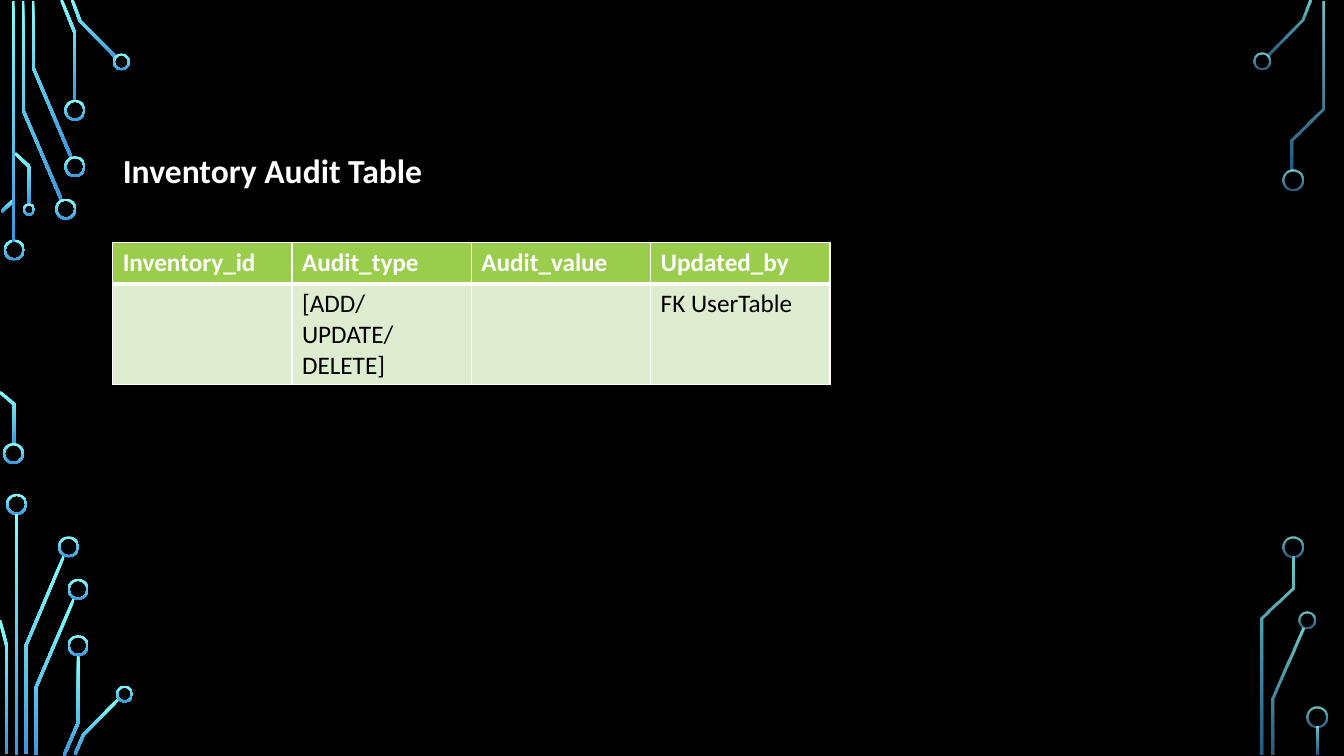
import math

import pptx
import pptx.dml.color
import pptx.enum.shapes
import pptx.enum.text
import pptx.oxml
import pptx.oxml.ns
import pptx.util
from pptx.util import Cm

COLORS = {
    "background": "000000", "glow_top": "82FFFF", "glow_bottom": "3D97DE",
    "header": "9ACD4C", "body": "DEEDD0", "light": "FFFFFF", "dark": "000000",
}
OPAQUE, FADED = (100, 100), (80, 60)
TRACE_WIDTH, RING_WIDTH = 0.07, 0.05
LARGE, SMALL, TINY = 0.53, 0.43, 0.31

# Circuit decoration, in centimetres: trace centre lines, rings by diameter,
# and upright stems as (left, top, height)
LEFT_CIRCUIT = {
    "traces": [
        [(1.55, 5.04), (0.58, 2.77), (0.58, 0.03)],
        [(1.8, 3.98), (0.83, 1.69), (0.83, 0.03)],
        [(1.89, 2.54), (1.89, 0.84), (1.55, 0)],
        [(2.93, 1.45), (2.02, 0.53), (1.82, 0)],
        [(0.04, 5.33), (0.36, 5.03)],
        [(0.36, 11.2), (0.36, 10.19), (0, 9.88)],
        [(0.74, 5.16), (0.74, 4.2), (0.38, 3.86)],
        [(0.65, 19), (0.65, 16.28), (1.61, 14.01)],
        [(0.17, 19), (0.17, 16.28), (0, 15.63)],
        [(0.9, 19.02), (0.9, 17.34), (1.87, 15.07)],
        [(1.61, 19.04), (1.97, 18.21), (1.97, 16.51)],
        [(1.89, 19.01), (2.1, 18.52), (3, 17.6)],
    ],
    "rings": {
        LARGE: [(0.36, 6.3), (0.34, 11.43), (1.66, 5.27), (1.89, 4.2), (1.89, 2.78),
                (0.42, 12.71), (1.73, 13.78), (1.97, 14.85), (1.97, 16.27)],
        SMALL: [(3.06, 1.56), (3.14, 17.49)],
        TINY: [(0.73, 5.28)],
    },
    "stems": [(0.3, 0.03, 6.07), (0.38, 12.95, 6.07)],
}
RIGHT_CIRCUIT = {
    "traces": [
        [(31.93, 1.41), (32.83, 0.51), (33.03, 0.01)],
        [(32.07, 19.02), (32.07, 17.61), (32.84, 15.84)],
        [(32.56, 4.29), (32.56, 3.52), (33.34, 2.73), (33.34, 0.03)],
        [(31.81, 19.02), (31.81, 15.58), (32.6, 14.82), (32.6, 14.02)],
    ],
    "rings": {
        LARGE: [(32.58, 4.53), (32.59, 13.78), (33.18, 18.08)],
        SMALL: [(31.8, 1.54), (32.93, 15.63)],
    },
    "stems": [(33.17, 18.31, 0.71)],
}

AUDIT_ROWS = [
    ["Inventory_id", "Audit_type", "Audit_value", "Updated_by"],
    ["", "[ADD/UPDATE/DELETE]", "", "FK UserTable"],
]


def color(name):
    return pptx.dml.color.RGBColor.from_string(COLORS[name])


def set_attributes(target, values):
    for attribute, value in values.items():
        setattr(target, attribute, value)


def format_text(paragraph, text, size, color_name, bold):
    paragraph.alignment = pptx.enum.text.PP_ALIGN.LEFT
    run = paragraph.add_run()
    run.text = text
    set_attributes(run.font, {"name": "Calibri", "size": pptx.util.Pt(size), "bold": bold})
    run.font.color.rgb = color(color_name)


def apply_glow(shape, opacity):
    shape.shadow.inherit = False
    shape.line.fill.background()
    shape.fill.gradient()
    shape.fill.gradient_angle = 270
    for stop, name, position, percent in zip(
            shape.fill.gradient_stops, ("glow_top", "glow_bottom"), (0, 1), opacity):
        stop.color.rgb = color(name)
        stop.position = position
        if percent < 100:
            tint = stop._gs.find(pptx.oxml.ns.qn("a:srgbClr"))
            alpha = pptx.oxml.parse_xml(
                f'<a:alpha {pptx.oxml.ns.nsdecls("a")} val="{percent * 1000}"/>')
            tint.append(alpha)


def trace_outline(points):
    """Widen a centre line into a closed band with mitred corners."""
    normals = []
    for (x1, y1), (x2, y2) in zip(points, points[1:]):
        length = math.hypot(x2 - x1, y2 - y1)
        normals.append(((y1 - y2) / length, (x2 - x1) / length))
    one_side, other_side = [], []
    for (x, y), (ax, ay), (bx, by) in zip(
            points, normals[:1] + normals, normals + normals[-1:]):
        reach = TRACE_WIDTH / 2 / (1 + ax * bx + ay * by)
        dx, dy = (ax + bx) * reach, (ay + by) * reach
        one_side.append((Cm(x + dx), Cm(y + dy)))
        other_side.append((Cm(x - dx), Cm(y - dy)))
    return one_side + other_side[::-1]


def add_circuit(slide, circuit, opacity):
    preset = pptx.enum.shapes.MSO_SHAPE
    for points in circuit["traces"]:
        start, *others = trace_outline(points)
        builder = slide.shapes.build_freeform(*start)
        builder.add_line_segments(others, close=True)
        apply_glow(builder.convert_to_shape(), opacity)
    for diameter, centres in circuit["rings"].items():
        for x, y in centres:
            ring = slide.shapes.add_shape(
                preset.DONUT, Cm(x - diameter / 2), Cm(y - diameter / 2),
                Cm(diameter), Cm(diameter))
            ring.adjustments[0] = RING_WIDTH / diameter
            apply_glow(ring, opacity)
    for left, top, height in circuit["stems"]:
        stem = slide.shapes.add_shape(
            preset.RECTANGLE, Cm(left), Cm(top), Cm(TRACE_WIDTH), Cm(height))
        apply_glow(stem, opacity)


def add_heading(slide):
    heading = slide.shapes.title
    set_attributes(heading, {"left": Cm(2.84), "top": Cm(3.66),
                             "width": Cm(14.07), "height": Cm(1.28)})
    set_attributes(heading.text_frame, {
        "word_wrap": True,
        "auto_size": pptx.enum.text.MSO_AUTO_SIZE.SHAPE_TO_FIT_TEXT,
        "vertical_anchor": pptx.enum.text.MSO_ANCHOR.TOP})
    format_text(heading.text_frame.paragraphs[0], "Inventory Audit Table", 24, "light", True)


def set_borders(cell, widths):
    properties = cell._tc.get_or_add_tcPr()
    for side, points in widths.items():
        properties.append(pptx.oxml.parse_xml(
            f'<a:ln{side} {pptx.oxml.ns.nsdecls("a")} w="{pptx.util.Pt(points)}">'
            f'<a:solidFill><a:srgbClr val="{COLORS["light"]}"/></a:solidFill></a:ln{side}>'))


def add_audit_table(slide):
    row_count, column_count = len(AUDIT_ROWS), len(AUDIT_ROWS[0])
    column_width, row_height = 4.52, 1.03
    audit = slide.shapes.add_table(
        row_count, column_count, Cm(2.84), Cm(6.12),
        Cm(column_width * column_count), Cm(row_height * row_count)).table
    audit.horz_banding = False
    for row, texts in enumerate(AUDIT_ROWS):
        is_header = row == 0
        for column, text in enumerate(texts):
            cell = audit.cell(row, column)
            # The line under the header is the heavy one
            set_borders(cell, {"L": 1, "R": 1, "T": 1 if is_header else 3,
                               "B": 3 if is_header else 1})
            cell.fill.solid()
            cell.fill.fore_color.rgb = color("header" if is_header else "body")
            paragraph = cell.text_frame.paragraphs[0]
            if text:
                format_text(paragraph, text, 18, "light" if is_header else "dark", is_header)


def main():
    deck = pptx.Presentation()
    set_attributes(deck, {"slide_width": Cm(33.87), "slide_height": Cm(19.05)})
    slide = deck.slides.add_slide(deck.slide_layouts[5])
    slide.background.fill.solid()
    slide.background.fill.fore_color.rgb = color("background")

    # Circuit edges
    add_circuit(slide, LEFT_CIRCUIT, OPAQUE)
    add_circuit(slide, RIGHT_CIRCUIT, FADED)

    # Content
    add_heading(slide)
    add_audit_table(slide)
    deck.save("out.pptx")


if __name__ == "__main__":
    main()
